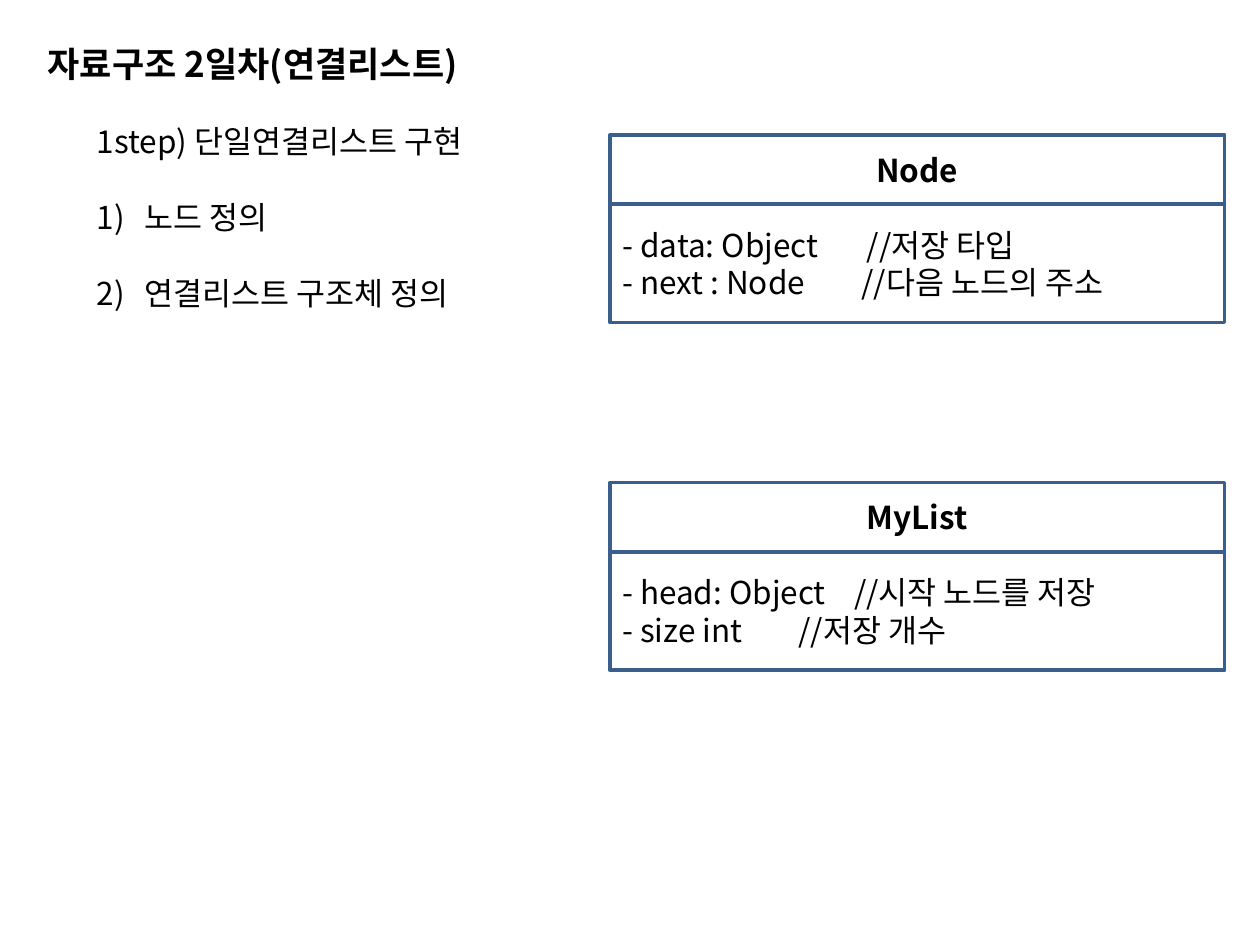
"""Build the linked list lesson slide with its two class diagrams."""
from lxml import etree
from pptx import Presentation
from pptx import util as u
from pptx.dml.color import RGBColor
from pptx.enum import shapes, text
from pptx.oxml.ns import qn

FONT = "Noto Sans CJK KR"


def color(value):
    return RGBColor.from_string(value)


def write(para, words, size=18, bold=False, align=text.PP_ALIGN.LEFT,
          before=0, numbered=False, tab=None):
    para.alignment = align
    para.space_before = u.Pt(before)
    span = para.add_run()
    span.text = words
    span.font.size = u.Pt(size)
    span.font.bold = bold
    span.font.color.rgb = color("000000")
    span.font.name = FONT
    etree.SubElement(span.font._element, qn("a:ea"), typeface=FONT)
    props = para._p.get_or_add_pPr()
    if numbered:
        props.set("marL", str(u.Inches(0.38)))
        props.set("indent", str(u.Inches(-0.38)))
        etree.SubElement(props, qn("a:buAutoNum"), type="arabicParenR")
    if tab:
        stops = etree.SubElement(props, qn("a:tabLst"))
        etree.SubElement(stops, qn("a:tab"), pos=str(u.Inches(tab)), algn="l")


deck = Presentation()
deck.slide_width, deck.slide_height = u.Inches(10), u.Inches(7.5)
page = deck.slides.add_slide(deck.slide_layouts[6])

title = page.shapes.add_textbox(u.Inches(0.28), u.Inches(0.29), u.Inches(6.54), u.Inches(0.44))
title.text_frame.word_wrap = True
write(title.text_frame.paragraphs[0], "자료구조 2일차(연결리스트)", size=20, bold=True)

steps = page.shapes.add_textbox(u.Inches(0.67), u.Inches(0.92), u.Inches(3.44), u.Inches(1.62))
steps.text_frame.word_wrap = False
write(steps.text_frame.paragraphs[0], "1step) 단일연결리스트 구현")
for step in ("노드 정의", "연결리스트 구조체 정의"):
    write(steps.text_frame.add_paragraph(), step, before=21.7, numbered=True)

classes = [
    ("Node", 1.07, [("- data: Object\t//저장 타입", 1.94),
                    ("- next : Node\t//다음 노드의 주소", 1.9)]),
    ("MyList", 3.83, [("- head: Object\t//시작 노드를 저장", 1.84),
                      ("- size int\t//저장 개수", 1.4)]),
]
for name, top, fields in classes:
    boxes = []
    for offset, height in ((0, 0.55), (0.55, 0.94)):
        box = page.shapes.add_shape(
            shapes.MSO_SHAPE.RECTANGLE, u.Inches(4.84), u.Inches(top + offset),
            u.Inches(4.88), u.Inches(height))
        box.shadow.inherit = False
        box.fill.solid()
        box.fill.fore_color.rgb = color("FFFFFF")
        box.line.color.rgb = color("3A5F8C")
        box.line.width = u.Pt(2)
        box.text_frame.word_wrap = True
        box.text_frame.vertical_anchor = text.MSO_ANCHOR.MIDDLE
        boxes.append(box.text_frame)
    header, body = boxes
    write(header.paragraphs[0], name, bold=True, align=text.PP_ALIGN.CENTER)
    for index, (field, tab) in enumerate(fields):
        para = body.add_paragraph() if index else body.paragraphs[0]
        write(para, field, tab=tab)

deck.save("out.pptx")
